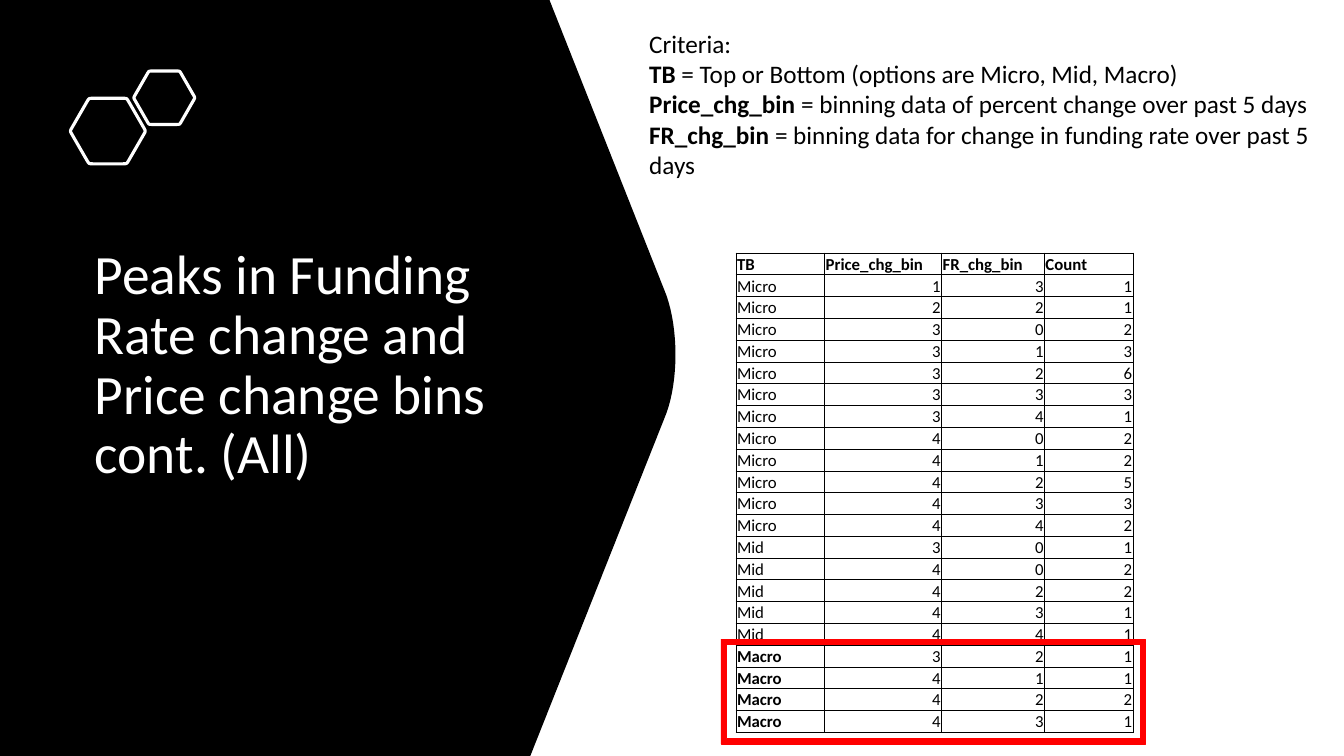
from lxml.etree import SubElement
from pptx import Presentation
from pptx.dml.color import RGBColor
from pptx.enum.shapes import MSO_SHAPE
from pptx.enum.text import MSO_ANCHOR, MSO_AUTO_SIZE as AUTO_SIZE, PP_ALIGN
from pptx.oxml.ns import qn
from pptx.util import Inches, Pt

BLACK = RGBColor(0x00, 0x00, 0x00)
WHITE = RGBColor(0xFF, 0xFF, 0xFF)
RED = RGBColor(0xFF, 0x00, 0x00)
FONT = "Calibri"

TITLE = "Peaks in Funding Rate change and Price change bins cont. (All)"
CRITERIA = [
    ("", "Criteria:"),
    ("TB", " = Top or Bottom (options are Micro, Mid, Macro)"),
    ("Price_chg_bin ", "= binning data of percent change over past 5 days"),
    ("FR_chg_bin ", "= binning data for change in funding rate over past 5 days"),
]
HEADERS = ["TB", "Price_chg_bin", "FR_chg_bin", "Count"]
COLUMN_WIDTHS = [0.88, 1.16, 1.02, 0.88]
# Price bin, funding rate bin and count of each row, by type of peak
BIN_COUNTS = {
    "Micro": [(1, 3, 1), (2, 2, 1), (3, 0, 2), (3, 1, 3), (3, 2, 6), (3, 3, 3),
              (3, 4, 1), (4, 0, 2), (4, 1, 2), (4, 2, 5), (4, 3, 3), (4, 4, 2)],
    "Mid": [(3, 0, 1), (4, 0, 2), (4, 2, 2), (4, 3, 1), (4, 4, 1)],
    "Macro": [(3, 2, 1), (4, 1, 1), (4, 2, 2), (4, 3, 1)],
}


def box(*lengths):
    return [Inches(length) for length in lengths]


def add_run(paragraph, text, size, color=BLACK, bold=False):
    run = paragraph.add_run()
    run.text = text
    for name, value in {"name": FONT, "size": Pt(size), "bold": bold}.items():
        setattr(run.font, name, value)
    run.font.color.rgb = color


def curve(start, control_1, control_2, end, steps=16):
    """Return points along a cubic Bézier curve."""
    points = []
    for step in range(steps + 1):
        t = step / steps
        weights = ((1 - t) ** 3, 3 * t * (1 - t) ** 2, 3 * t ** 2 * (1 - t), t ** 3)
        controls = (start, control_1, control_2, end)
        points.append(tuple(sum(w * p[axis] for w, p in zip(weights, controls))
                            for axis in (0, 1)))
    return points


def add_outline(slide, points):
    start, *others = [box(*point) for point in points]
    builder = slide.shapes.build_freeform(*start)
    builder.add_line_segments(others, close=True)
    outline = builder.convert_to_shape()
    outline.shadow.inherit = False
    return outline


def add_panel(slide):
    bulge = curve((6.61, 2.93), (6.73, 3.27), (6.73, 3.77), (6.61, 4.1))
    panel = add_outline(slide, [(0, 0), (5.45, 0), *bulge, (5.26, 7.5), (0, 7.5)])
    panel.fill.solid()
    panel.fill.fore_color.rgb = BLACK
    panel.line.fill.background()
    slide.shapes.title.element.addprevious(panel.element)


def add_rounded_hexagon(slide, center_x, center_y, width, height):
    offsets = [(0.5, 0), (0.25, 0.5), (-0.25, 0.5), (-0.5, 0), (-0.25, -0.5), (0.25, -0.5)]
    corners = [(center_x + dx * width, center_y + dy * height) for dx, dy in offsets]
    points = []
    for i, corner in enumerate(corners):
        start, end = (tuple(c + 0.1 * (n - c) for c, n in zip(corner, neighbor))
                      for neighbor in (corners[i - 1], corners[(i + 1) % 6]))
        points += curve(start, corner, corner, end, steps=6)
    hexagon = add_outline(slide, points)
    hexagon.fill.background()
    hexagon.line.color.rgb = WHITE
    hexagon.line.width = Pt(2.25)


def format_title(title):
    place = dict(zip(("left", "top", "width", "height"), box(0.84, 2.99, 4.62, 1.88)))
    for name, value in place.items():
        setattr(title, name, value)
    frame = title.text_frame
    frame_format = {"word_wrap": True, "auto_size": AUTO_SIZE.NONE,
                    "vertical_anchor": MSO_ANCHOR.BOTTOM}
    for name, value in frame_format.items():
        setattr(frame, name, value)
    heading = frame.paragraphs[0]
    heading.alignment = PP_ALIGN.LEFT
    heading.line_spacing = 0.9
    add_run(heading, TITLE, 39.6, WHITE)


def add_criteria(slide):
    frame = slide.shapes.add_textbox(*box(6.34, 0.23, 6.88, 1.62)).text_frame
    frame.word_wrap = True
    frame.auto_size = AUTO_SIZE.SHAPE_TO_FIT_TEXT
    for i, (term, meaning) in enumerate(CRITERIA):
        paragraph = frame.add_paragraph() if i else frame.paragraphs[0]
        if term:
            add_run(paragraph, term, 18, bold=True)
        add_run(paragraph, meaning, 18)


def add_borders(cell):
    properties = cell._tc.get_or_add_tcPr()
    for side in ("lnL", "lnR", "lnT", "lnB"):
        border = SubElement(properties, qn(f"a:{side}"), w=str(Pt(0.5)))
        fill = SubElement(border, qn("a:solidFill"))
        SubElement(fill, qn("a:srgbClr"), val=str(BLACK))


def fill_cell(cell, value, bold):
    cell_format = {"margin_left": Inches(0.01), "margin_right": Inches(0.01),
                   "margin_top": Inches(0.01), "margin_bottom": 0,
                   "vertical_anchor": MSO_ANCHOR.BOTTOM}
    for name, setting in cell_format.items():
        setattr(cell, name, setting)
    add_borders(cell)
    cell.fill.background()
    paragraph = cell.text_frame.paragraphs[0]
    paragraph.alignment = PP_ALIGN.RIGHT if isinstance(value, int) else PP_ALIGN.LEFT
    add_run(paragraph, str(value), 12, bold=bold)


def add_bin_table(slide):
    rows = [HEADERS] + [(peak, *counts) for peak, group in BIN_COUNTS.items()
                        for counts in group]
    table = slide.shapes.add_table(len(rows), len(HEADERS),
                                   *box(7.3, 2.51, 3.95, 4.76)).table
    table.first_row = table.horz_banding = False
    for column, width in zip(table.columns, COLUMN_WIDTHS):
        column.width = Inches(width)
    for r, row in enumerate(rows):
        for c, value in enumerate(row):
            fill_cell(table.cell(r, c), value, bold=r == 0 or value == "Macro")


def add_macro_highlight(slide):
    highlight = slide.shapes.add_shape(MSO_SHAPE.FRAME, *box(7.15, 6.34, 4.21, 1.04))
    highlight.adjustments[0] = 0.05
    highlight.shadow.inherit = False
    highlight.fill.solid()
    highlight.fill.fore_color.rgb = RED
    highlight.line.color.rgb = RED
    highlight.line.width = Pt(0.5)


def main():
    deck = Presentation()
    deck.slide_width, deck.slide_height = box(13.33, 7.5)
    slide = deck.slides.add_slide(deck.slide_layouts.get_by_name("Title Only"))
    format_title(slide.shapes.title)
    add_panel(slide)
    add_rounded_hexagon(slide, 1.07, 1.3, 0.75, 0.65)
    add_rounded_hexagon(slide, 1.63, 0.97, 0.61, 0.53)
    add_bin_table(slide)
    add_criteria(slide)
    add_macro_highlight(slide)
    deck.save("out.pptx")


if __name__ == "__main__":
    main()
